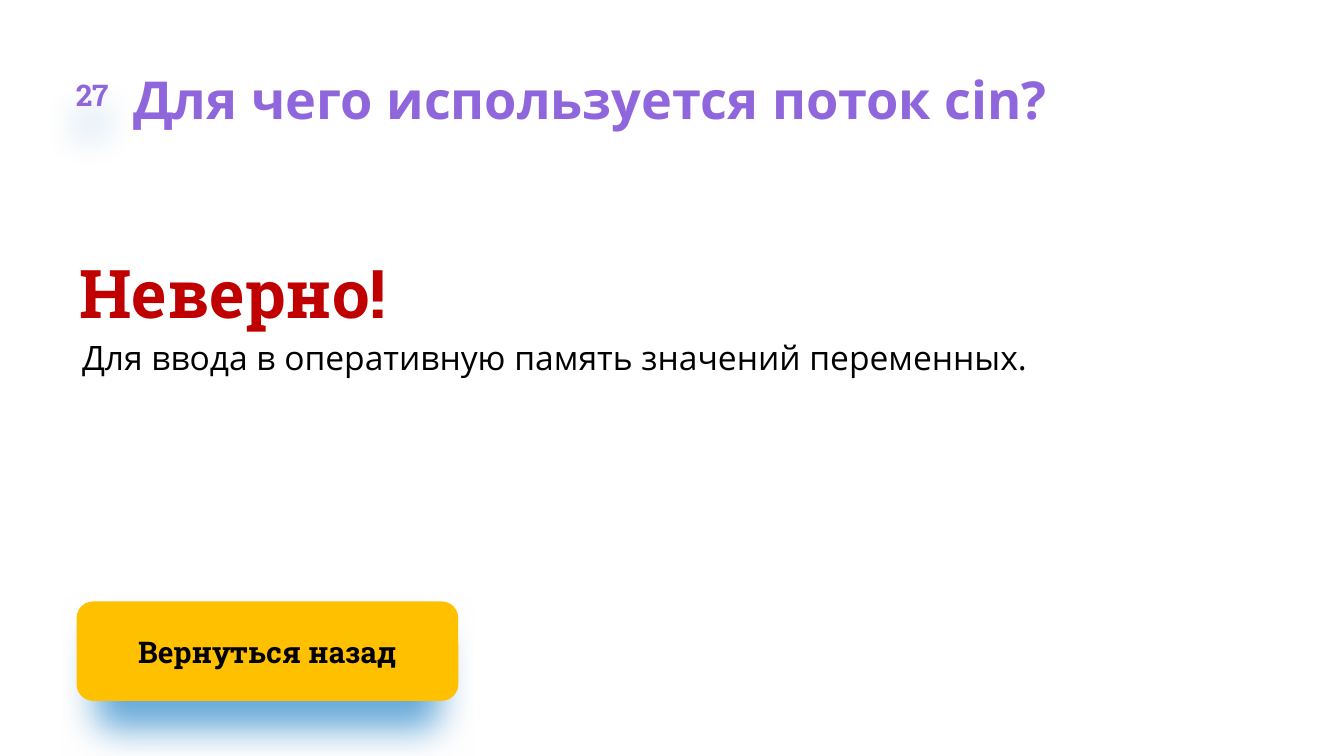
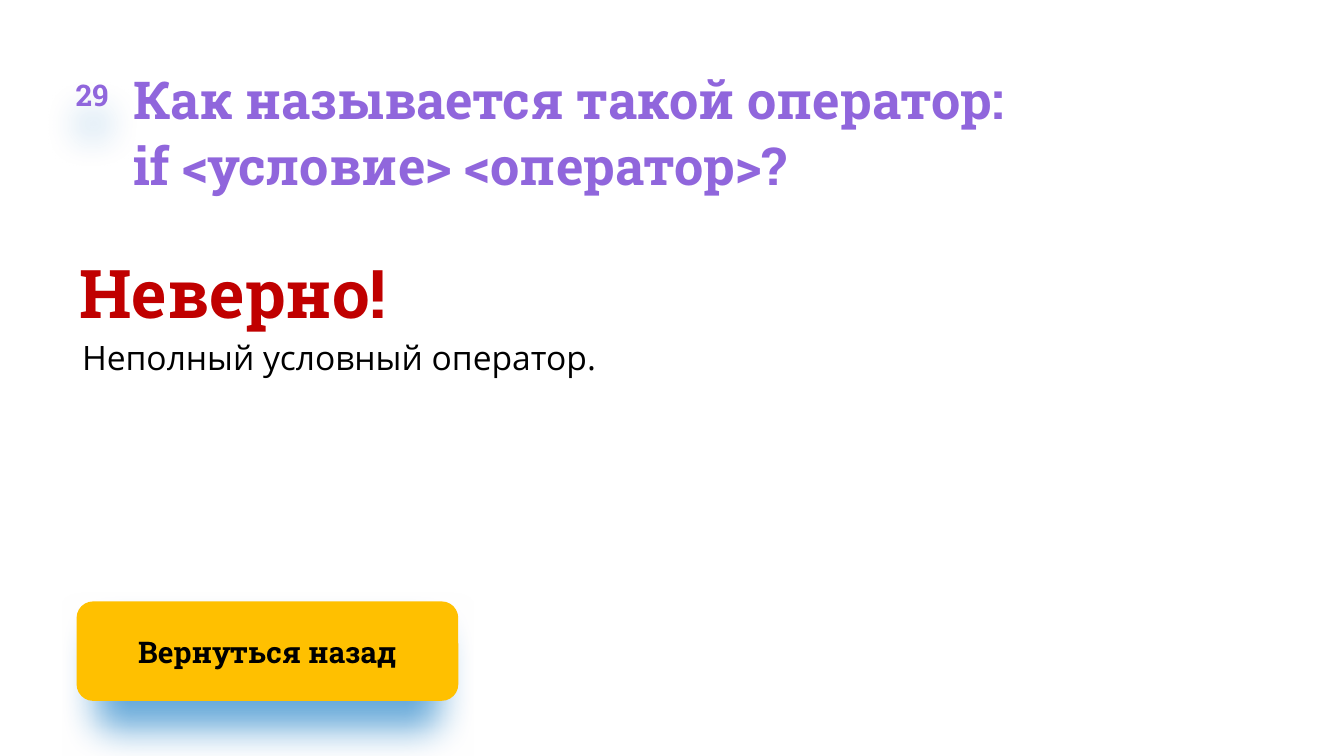
from dataclasses import dataclass

import lxml.etree
import pptx
import pptx.dml.color
import pptx.enum.shapes
import pptx.enum.text
import pptx.oxml.ns
import pptx.util

CELL = 0.1
WIDTH = pptx.util.Inches(10)
HEIGHT = WIDTH * 9 // 16
SLAB, SANS = "Roboto Slab", "Open Sans"
PURPLE, RED, AMBER, BLUE, BLACK = "9066DC", "C00000", "FFC000", "0070C0", "000000"
LEFT, CENTER = pptx.enum.text.PP_ALIGN.LEFT, pptx.enum.text.PP_ALIGN.CENTER
TOP, MIDDLE = pptx.enum.text.MSO_ANCHOR.TOP, pptx.enum.text.MSO_ANCHOR.MIDDLE


@dataclass(frozen=True)
class Area:
    column: float
    row: float
    columns: float
    rows: float

    def lengths(self) -> list[int]:
        """Return left, top, width and height."""
        return [grid(n) for n in (self.column, self.row, self.columns, self.rows)]


@dataclass(frozen=True)
class Style:
    size: float
    color: str
    font: str = SLAB
    bold: bool = True
    align: int = LEFT
    anchor: int = TOP
    spacing: float = 1.0
    insets: tuple[float, float, float, float] = (0, 0, 0, 0)
    grows: bool = True


@dataclass(frozen=True)
class Answer:
    number: str
    question: tuple[str, ...]
    question_font: str
    explanation: str


BUTTON_AREA = Area(5.7, 44.75, 28.4, 7.4)
VERDICT_AREA = Area(5.9, 18.35, 28, 6.1)
EXPLANATION_AREA = Area(4.7, 25.1, 80.9, 3)
NUMBER_AREA = Area(3.9, 4.1, 5.9, 5.9)
QUESTION_LINE_ROWS = 5

BUTTON = Style(16, BLACK, align=CENTER, anchor=MIDDLE, insets=(3.9, 2, 3.9, 2))
VERDICT = Style(36, RED, spacing=1.06)
EXPLANATION = Style(18, BLACK, SANS, bold=False, insets=(1.4, 0, 0, 0))
NUMBER = Style(16, PURPLE, align=CENTER, anchor=MIDDLE, grows=False)

ANSWERS = (
    Answer("27", ("Для чего используется поток cin?",), SANS,
           "Для ввода в оперативную память значений переменных."),
    Answer("29", ("Как называется такой оператор:", "if <условие> <оператор>?"), SLAB,
           "Неполный условный оператор."),
)


def grid(cells: float) -> int:
    """Turn a number of grid cells into a length."""
    return pptx.util.Inches(cells * CELL)


def rgb(value: str) -> pptx.dml.color.RGBColor:
    """Turn a hex string into a colour."""
    return pptx.dml.color.RGBColor.from_string(value)


def write(shape, lines: tuple[str, ...], style: Style) -> None:
    """Put lines of text into a shape, one paragraph each."""
    frame = shape.text_frame
    frame.word_wrap = True
    frame.vertical_anchor = style.anchor
    sizing = pptx.enum.text.MSO_AUTO_SIZE
    frame.auto_size = sizing.SHAPE_TO_FIT_TEXT if style.grows else sizing.NONE
    frame.margin_left, frame.margin_top, frame.margin_right, frame.margin_bottom = map(
        grid, style.insets)
    frame.text = "\n".join(lines)
    for paragraph in frame.paragraphs:
        paragraph.alignment = style.align
        paragraph.line_spacing = style.spacing
        paragraph.space_before = pptx.util.Pt(0)
        paragraph.font.name = style.font
        paragraph.font.size = pptx.util.Pt(style.size)
        paragraph.font.bold = style.bold
        paragraph.font.color.rgb = rgb(style.color)


def cast_shadow(shape, color: str, opacity: int, blur: float, distance: float) -> None:
    """Give a shape a soft, narrowed shadow that falls straight down."""
    shape.shadow.inherit = False
    qn = pptx.oxml.ns.qn
    effects = shape.element.spPr.find(qn("a:effectLst"))
    shadow = lxml.etree.SubElement(
        effects, qn("a:outerShdw"), blurRad=str(pptx.util.Pt(blur)),
        dist=str(pptx.util.Pt(distance)), dir=str(90 * 60000),
        sx="90000", algn="t", rotWithShape="0")
    tint = lxml.etree.SubElement(shadow, qn("a:srgbClr"), val=color)
    lxml.etree.SubElement(tint, qn("a:alpha"), val=str(opacity * 1000))


def add_rounded(slide, area: Area, text: str, style: Style, fill: str | None = None) -> None:
    """Draw a rounded rectangle with centred text and a shadow."""
    shape = slide.shapes.add_shape(
        pptx.enum.shapes.MSO_SHAPE.ROUNDED_RECTANGLE, *area.lengths())
    if fill:
        shape.fill.solid()
        shape.fill.fore_color.rgb = rgb(fill)
    else:
        shape.fill.background()
    shape.line.fill.background()
    cast_shadow(shape, BLUE, opacity=60, blur=20, distance=15)
    write(shape, (text,), style)


def add_text(slide, area: Area, text: str, style: Style) -> None:
    """Draw a plain text box."""
    write(slide.shapes.add_textbox(*area.lengths()), (text,), style)


def set_question(slide, answer: Answer) -> None:
    """Place and format the title, one row band per line."""
    title = slide.shapes.title
    area = Area(9.9, 4.7, 88.1, QUESTION_LINE_ROWS * len(answer.question))
    title.left, title.top, title.width, title.height = area.lengths()
    write(title, answer.question, Style(28, PURPLE, answer.question_font, spacing=1.06))


def add_answer_slide(deck, answer: Answer) -> None:
    """Build the slide shown after a wrong answer."""
    slide = deck.slides.add_slide(deck.slide_layouts.get_by_name("Title Only"))
    add_rounded(slide, BUTTON_AREA, "Вернуться назад", BUTTON, AMBER)
    add_text(slide, VERDICT_AREA, "Неверно!", VERDICT)
    add_text(slide, EXPLANATION_AREA, answer.explanation, EXPLANATION)
    set_question(slide, answer)
    add_rounded(slide, NUMBER_AREA, answer.number, NUMBER)


def main() -> None:
    """Build and save the deck."""
    deck = pptx.Presentation()
    deck.slide_width = WIDTH
    deck.slide_height = HEIGHT
    for answer in ANSWERS:
        add_answer_slide(deck, answer)
    deck.save("out.pptx")


if __name__ == "__main__":
    main()
